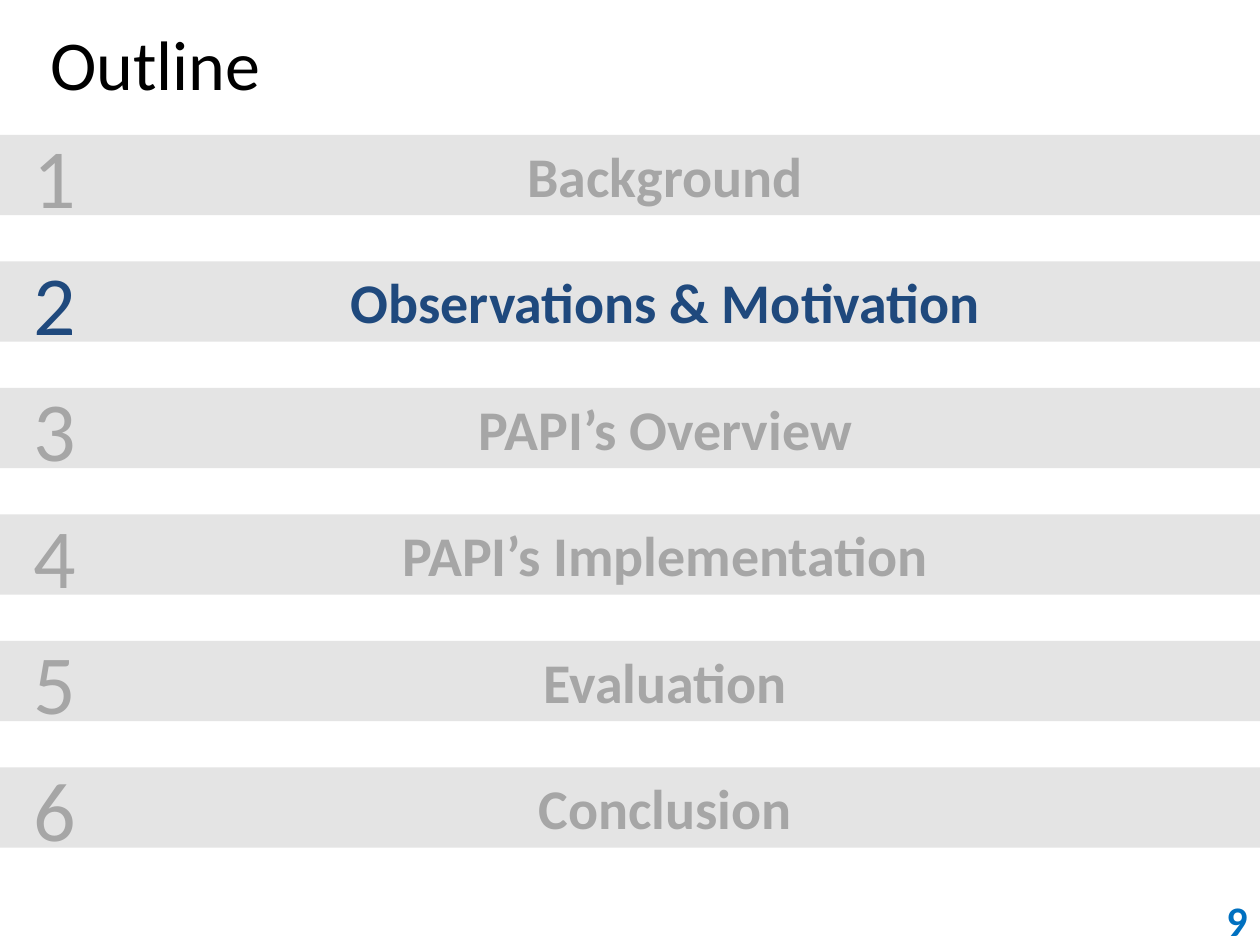
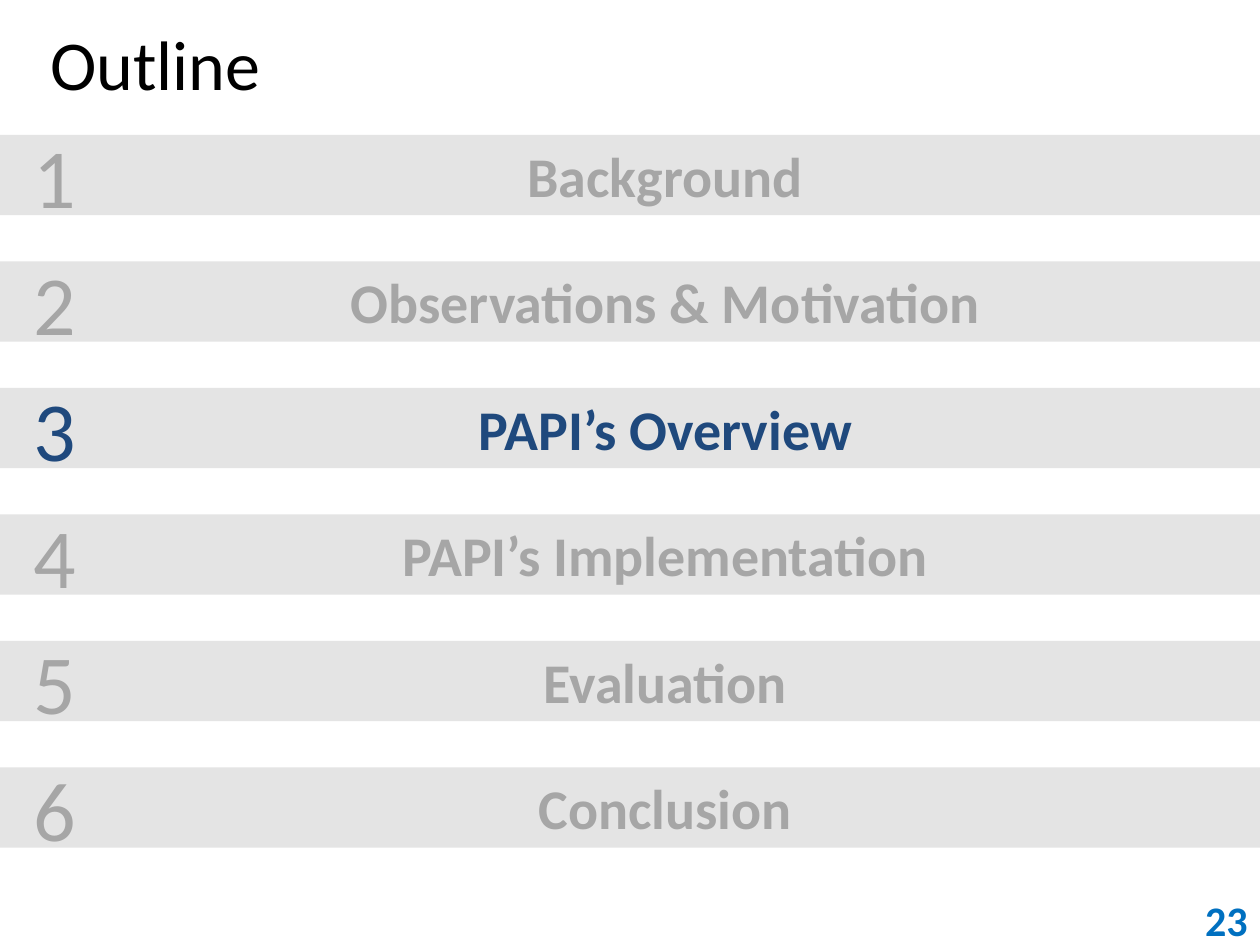
from dataclasses import dataclass

from pptx import Presentation
from pptx.dml.color import RGBColor
from pptx.enum.shapes import MSO_SHAPE as Shape
from pptx.enum.text import MSO_ANCHOR as Anchor, MSO_AUTO_SIZE as AutoSize, PP_ALIGN as Align
from pptx.util import Cm, Pt


@dataclass(frozen=True)
class Theme:
    font: str = "Calibri"
    band: str = "E4E4E4"
    muted: str = "A6A6A6"
    active: str = "1F497D"
    title: str = "000000"
    page: str = "0070C0"
    title_size: int = 40
    number_size: int = 48
    topic_size: int = 32
    page_size: int = 24


TOPICS = [
    "Background",
    "Observations & Motivation",
    "PAPI’s Overview",
    "PAPI’s Implementation",
    "Evaluation",
    "Conclusion",
]
# Page number and highlighted topic of each outline slide
OUTLINES = [(9, 2), (23, 3)]

SLIDE_WIDTH, SLIDE_HEIGHT = 25.4, 19.05
BAND_TOP, BAND_HEIGHT, BAND_PITCH = 2.72, 1.62, 2.55


class OutlineDeck:
    def __init__(self, theme):
        self.theme = theme
        self.presentation = Presentation()
        self.presentation.slide_width = Cm(SLIDE_WIDTH)
        self.presentation.slide_height = Cm(SLIDE_HEIGHT)
        self.slide = None

    def new_slide(self):
        blank = self.presentation.slide_layouts[6]
        self.slide = self.presentation.slides.add_slide(blank)

    def fill_text(self, shape, text, size, color, bold=False, align=Align.LEFT, **frame_format):
        """Put one styled paragraph in a shape; frame_format sets its text frame."""
        frame = shape.text_frame
        for name, value in {"word_wrap": True, **frame_format}.items():
            setattr(frame, name, value)
        paragraph = frame.paragraphs[0]
        paragraph.alignment = align
        run = paragraph.add_run()
        run.text = text
        font_format = {"name": self.theme.font, "size": Pt(size), "bold": bold}
        for name, value in font_format.items():
            setattr(run.font, name, value)
        run.font.color.rgb = RGBColor.from_string(color)

    def text(self, box, text, size, color, **options):
        shape = self.slide.shapes.add_textbox(*map(Cm, box))
        self.fill_text(shape, text, size, color, **options)

    def title(self, text):
        self.text((0, 0, SLIDE_WIDTH, 2.54), text, self.theme.title_size, self.theme.title,
                  vertical_anchor=Anchor.MIDDLE, margin_left=Cm(1.02))

    def band(self, top, topic, color):
        shape = self.slide.shapes.add_shape(
            Shape.RECTANGLE, Cm(0), Cm(top), Cm(SLIDE_WIDTH), Cm(BAND_HEIGHT))
        shape.shadow.inherit = False
        shape.fill.solid()
        shape.fill.fore_color.rgb = RGBColor.from_string(self.theme.band)
        shape.line.fill.background()
        self.fill_text(shape, topic, self.theme.topic_size, color, bold=True,
                       align=Align.CENTER, vertical_anchor=Anchor.TOP,
                       margin_left=Cm(1.68), auto_size=AutoSize.SHAPE_TO_FIT_TEXT)

    def number(self, top, number, color):
        self.text((0.43, top - 0.33, 1.32, 2.31), str(number), self.theme.number_size, color,
                  auto_size=AutoSize.SHAPE_TO_FIT_TEXT)

    def page_number(self, page):
        self.text((20.32, 18.03, 5.08, 1.02), str(page), self.theme.page_size, self.theme.page,
                  bold=True, align=Align.RIGHT, vertical_anchor=Anchor.MIDDLE)

    def outline(self, page, active_number):
        self.new_slide()
        self.title("Outline")
        for number, topic in enumerate(TOPICS, start=1):
            top = BAND_TOP + (number - 1) * BAND_PITCH
            color = self.theme.active if number == active_number else self.theme.muted
            self.band(top, topic, color)
            self.number(top, number, color)
        self.page_number(page)


def main():
    deck = OutlineDeck(Theme())
    for page, active_number in OUTLINES:
        deck.outline(page, active_number)
    deck.presentation.save("out.pptx")


if __name__ == "__main__":
    main()
